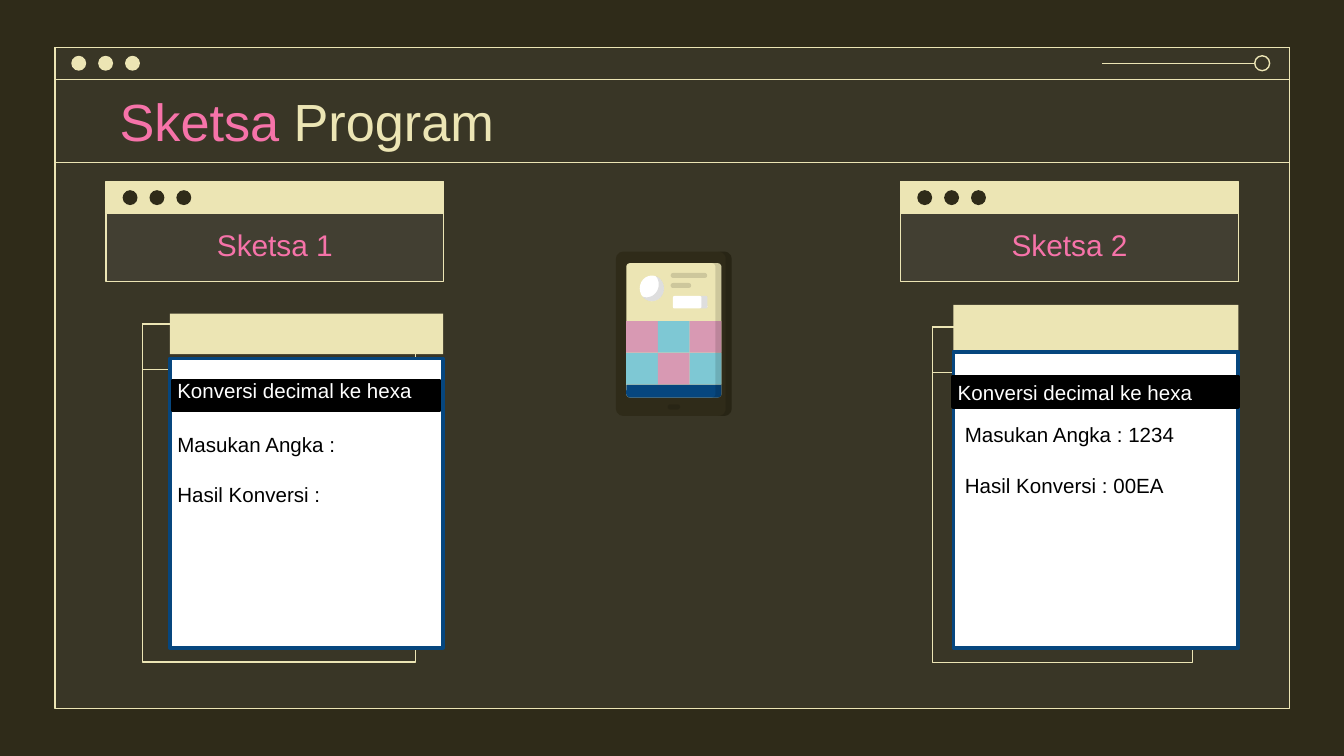
"""Build the "Sketsa Program" slide with two program sketches and a tablet."""
from dataclasses import dataclass
from math import cos, radians, sin
from typing import NamedTuple, Optional

from lxml import etree
from pptx import Presentation
from pptx import util as u
from pptx.dml.color import RGBColor
from pptx.enum import shapes, text
from pptx.oxml.ns import qn


@dataclass(frozen=True)
class Theme:
    dark: str = "2F2B19"
    cream: str = "ECE5B4"
    pink: str = "F673A9"
    grey: str = "7C7C7C"
    navy: str = "06467E"
    rose: str = "D899B3"
    aqua: str = "7EC8D4"
    white: str = "FFFFFF"
    black: str = "000000"
    font: str = "Arial"
    title_size: float = 28
    heading_size: float = 16
    body_size: float = 11
    thin: float = 0.75
    thick: float = 2
    panel_alpha: int = 14
    shade_alpha: int = 13


class Box(NamedTuple):
    left: float
    top: float
    width: float
    height: float


class Sketch(NamedTuple):
    heading: str
    panel_left: float
    frame: Box
    tab: Box
    page: Box
    banner: Box
    caption: Box
    entries: Box
    lines: tuple[str, ...]


THEME = Theme()
KIND = shapes.MSO_SHAPE
CAPTION = "Konversi decimal ke hexa"
FRAME_HEAD = 24.5
BAR = 17.2
DOT = 8
DOT_STEP = 14.4

SKETCHES = (
    Sketch("Sketsa 1", 56.9, Box(76.2, 173.6, 146.4, 181), Box(91, 168, 146.4, 21.8),
           Box(91, 192.1, 146.4, 155), Box(92.7, 203.8, 142.6, 16.2),
           Box(87.9, 198.8, 210, 20.9), Box(87.9, 227.7, 139, 47.2),
           ("Masukan Angka :", "Hasil Konversi :")),
    Sketch("Sketsa 2", 482.6, Box(499.5, 175.2, 139.2, 179.6), Box(510.8, 163.4, 152.6, 24.3),
           Box(510.8, 188.5, 152.6, 158.6), Box(510.6, 201.7, 152.6, 16.2),
           Box(506, 200, 210, 20.9), Box(509.8, 222.5, 139, 47.2),
           ("Masukan Angka : 1234", "Hasil Konversi : 00EA")),
)


def paint(shape, fill: Optional[str], line: Optional[str] = None,
          weight: float = THEME.thin, alpha: int = 100) -> None:
    """Set fill, opacity and outline, without shadow."""
    shape.shadow.inherit = False
    if fill:
        shape.fill.solid()
        shape.fill.fore_color.rgb = RGBColor.from_string(fill)
        if alpha < 100:
            color = shape.element.spPr.find(qn("a:solidFill"))[0]
            etree.SubElement(color, qn("a:alpha")).set("val", str(alpha * 1000))
    else:
        shape.fill.background()
    if line:
        shape.line.color.rgb = RGBColor.from_string(line)
        shape.line.width = u.Pt(weight)
    else:
        shape.line.fill.background()


def draw(slide, box: Box, fill: Optional[str] = None, line: Optional[str] = None,
         weight: float = THEME.thin, alpha: int = 100, kind=KIND.RECTANGLE,
         radius: Optional[float] = None):
    """Add a painted preset shape, rounded by a radius where given."""
    shape = slide.shapes.add_shape(kind, *map(u.Pt, box))
    if radius is not None:
        shape.adjustments[0] = radius / min(box.width, box.height)
    paint(shape, fill, line, weight, alpha)
    return shape


def draw_rule(slide, left: float, right: float, y: float) -> None:
    """Add a thin horizontal line."""
    rule = slide.shapes.add_connector(
        shapes.MSO_CONNECTOR.STRAIGHT, u.Pt(left), u.Pt(y), u.Pt(right), u.Pt(y))
    rule.line.color.rgb = RGBColor.from_string(THEME.cream)
    rule.line.width = u.Pt(THEME.thin)
    etree.SubElement(rule.element.spPr, qn("a:effectLst"))


def draw_dots(slide, left: float, top: float, color: str) -> None:
    """Add the three window buttons."""
    for i in range(3):
        draw(slide, Box(left + i * DOT_STEP, top, DOT, DOT), color, kind=KIND.OVAL)


def style(run, size: float, color: str) -> None:
    """Set the font of a run."""
    run.font.name = THEME.font
    run.font.size = u.Pt(size)
    run.font.color.rgb = RGBColor.from_string(color)


def pad(frame, inset: float) -> None:
    """Set equal insets and wrapping."""
    frame.margin_left = frame.margin_right = u.Pt(inset)
    frame.margin_top = frame.margin_bottom = u.Pt(inset)
    frame.word_wrap = True


def write(slide, box: Box, lines: tuple[str, ...], color: str) -> None:
    """Add body text with one paragraph a line."""
    frame = slide.shapes.add_textbox(*map(u.Pt, box)).text_frame
    frame.word_wrap = True
    frame.auto_size = text.MSO_AUTO_SIZE.SHAPE_TO_FIT_TEXT
    frame.text = "\n".join(lines)
    for i, paragraph in enumerate(frame.paragraphs):
        if i:
            paragraph.space_before = u.Pt(14)
        style(paragraph.runs[0], THEME.body_size, color)


def draw_window(slide) -> None:
    """Add the large window with the slide title."""
    window = draw(slide, Box(29.5, 25.3, 661.5, 354.3), THEME.grey, THEME.cream,
                  alpha=THEME.panel_alpha)
    draw(slide, Box(29.5, 25.3, 661.5, BAR), line=THEME.cream)
    draw_dots(slide, 38.2, 29.9, THEME.cream)
    draw(slide, Box(672.2, 29.9, DOT, DOT), line=THEME.cream, kind=KIND.OVAL)
    draw_rule(slide, 590.4, 672.2, 33.9)
    draw_rule(slide, 29.5, 691, 87)

    title = slide.shapes.title
    window.element.addnext(title.element)
    title.left, title.top, title.width, title.height = map(u.Pt, (56.9, 42.5, 607, 44.6))
    frame = title.text_frame
    pad(frame, 7.2)
    frame.auto_size = text.MSO_AUTO_SIZE.NONE
    frame.vertical_anchor = text.MSO_ANCHOR.MIDDLE
    paragraph = frame.paragraphs[0]
    paragraph.alignment = text.PP_ALIGN.LEFT
    for words, color in (("Sketsa", THEME.pink), (" Program", THEME.cream)):
        run = paragraph.add_run()
        run.text = words
        style(run, THEME.title_size, color)


def draw_sketch(slide, sketch: Sketch) -> None:
    """Add one heading panel with its program page."""
    frame = sketch.frame
    draw(slide, frame, line=THEME.cream)
    draw(slide, frame._replace(height=FRAME_HEAD), line=THEME.cream)

    panel = Box(sketch.panel_left, 97.2, 180.8, 53.6)
    draw(slide, panel, THEME.grey, alpha=THEME.panel_alpha)
    heading = draw(slide, panel._replace(top=panel.top + BAR, height=panel.height - BAR),
                   line=THEME.cream)
    pad(heading.text_frame, 7.2)
    heading.text_frame.vertical_anchor = text.MSO_ANCHOR.TOP
    heading.text_frame.text = sketch.heading
    paragraph = heading.text_frame.paragraphs[0]
    paragraph.alignment = text.PP_ALIGN.CENTER
    style(paragraph.runs[0], THEME.heading_size, THEME.pink)
    draw(slide, panel._replace(height=BAR), THEME.cream, THEME.cream)
    draw_dots(slide, panel.left + 8.8, 101.9, THEME.dark)

    draw(slide, sketch.tab, THEME.cream)
    draw(slide, sketch.page, THEME.white, THEME.navy, THEME.thick)
    draw(slide, sketch.banner, THEME.black, THEME.black, THEME.thick)
    write(slide, sketch.caption, (CAPTION,), THEME.white)
    write(slide, sketch.entries, sketch.lines, THEME.black)


def arc(x: float, y: float, rx: float, ry: float, start: int, end: int) -> list:
    """Return points along an elliptic arc, with angles in degrees."""
    angles = [radians(start + (end - start) * i / 24) for i in range(25)]
    return [(x + rx * cos(a), y + ry * sin(a)) for a in angles]


def draw_shade(slide, points: list) -> None:
    """Add a translucent dark outline through the points."""
    first, *rest = [(u.Pt(x), u.Pt(y)) for x, y in points]
    builder = slide.shapes.build_freeform(*first)
    builder.add_line_segments(rest)
    paint(builder.convert_to_shape(), THEME.black, alpha=THEME.shade_alpha)


def draw_edge(slide, inner: float, outer: float, top: float, bottom: float,
              radius: float, top_radius: Optional[float] = None) -> None:
    """Shade the band between two right edges with rounded corners."""
    upper = radius if top_radius is None else top_radius

    def edge(x: float) -> list:
        return (arc(x - upper, top + upper, upper, upper, -90, 0)
                + arc(x - radius, bottom - radius, radius, radius, 0, 90))

    draw_shade(slide, edge(inner) + edge(outer)[::-1])


def draw_tablet(slide) -> None:
    """Add the tablet with its screen, tiles and shades."""
    rounded = KIND.ROUNDED_RECTANGLE
    dim = {"fill": THEME.black, "alpha": THEME.shade_alpha}
    left, right, tile, tiles_top = 335.5, 386.5, 17, 172
    shade = right - 3.2
    bar_top, bottom = tiles_top + 2 * tile, 213

    draw(slide, Box(329.9, 134.8, 62.1, 88.1), THEME.dark, kind=rounded, radius=4)
    draw_edge(slide, 388.8, 392, 134.8, 222.9, 4)
    draw(slide, Box(left, 141, right - left, bottom - 141), THEME.cream,
         kind=rounded, radius=2)
    draw_edge(slide, shade, right, 141, bottom, 2)
    bar = draw(slide, Box(left, bar_top, right - left, bottom - bar_top), THEME.navy,
               kind=KIND.ROUND_2_SAME_RECTANGLE, radius=0)
    bar.adjustments[1] = 2 / (bottom - bar_top)
    draw_edge(slide, shade, right, bar_top, bottom, 2, 0)
    draw(slide, Box(357.7, 216.6, 6.7, 2.8), kind=rounded, radius=1.4, **dim)

    for row in range(2):
        for column in range(3):
            color = THEME.aqua if (row + column) % 2 else THEME.rose
            draw(slide, Box(left + column * tile, tiles_top + row * tile, tile, tile), color)
    draw(slide, Box(shade, tiles_top, right - shade, 2 * tile), **dim)

    draw(slide, Box(342.7, 147.6, 13, 13.8), THEME.white, kind=KIND.OVAL)
    draw_shade(slide, arc(349.2, 154.5, 6.5, 6.9, -70, 140)
               + arc(346.4, 152.4, 6.5, 6.9, 110, -40))
    for top, width in ((146.2, 19.6), (151.6, 11)):
        draw(slide, Box(359.3, top, width, 2.7), kind=rounded, radius=1.35, **dim)
    draw(slide, Box(360.5, 158.6, 18.5, 6.7), THEME.white, kind=rounded, radius=0.8)
    draw_edge(slide, 375.8, 379, 158.6, 165.3, 0.8)


def main() -> None:
    """Build and save the presentation."""
    deck = Presentation()
    deck.slide_width, deck.slide_height = u.Pt(720), u.Pt(405)
    slide = deck.slides.add_slide(deck.slide_layouts[5])
    slide.background.fill.solid()
    slide.background.fill.fore_color.rgb = RGBColor.from_string(THEME.dark)
    draw_window(slide)
    for sketch in SKETCHES:
        draw_sketch(slide, sketch)
    draw_tablet(slide)
    deck.save("out.pptx")


if __name__ == "__main__":
    main()
